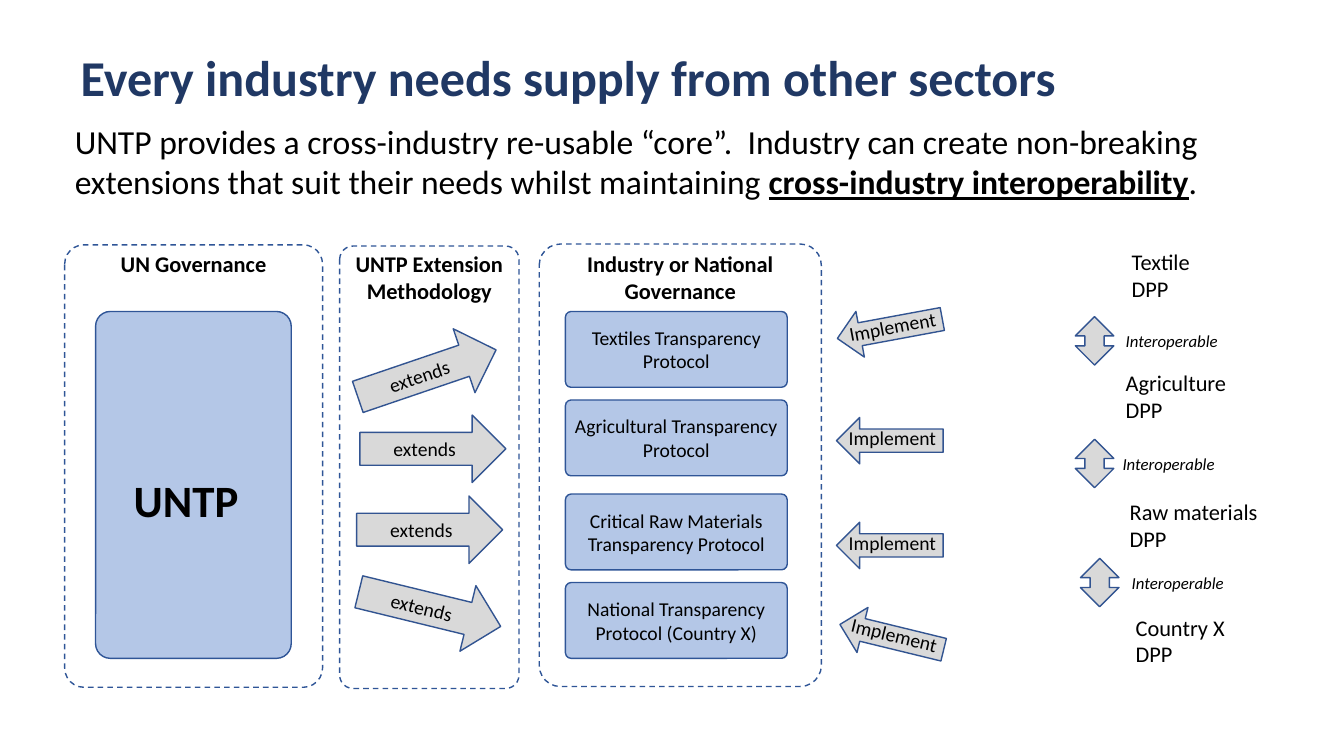
from pptx import Presentation
from pptx.dml.color import RGBColor
from pptx.enum.dml import MSO_LINE
from pptx.enum.shapes import MSO_SHAPE
from pptx.enum.text import MSO_ANCHOR, MSO_AUTO_SIZE, PP_ALIGN
from pptx.oxml.ns import qn
from pptx.util import Cm, Pt

# Content: lengths in cm, angles in degrees
COLORS = {"title": "203864", "text": "000000", "box": "B4C7E7",
          "box_line": "2F5597", "arrow": "D9D9D9", "arrow_line": "325491"}
FONT = "Calibri"
TITLE = "Every industry needs supply from other sectors"
INTRO = [
    ("UNTP provides a cross-industry re-usable “core”.  Industry can create "
     "non-breaking extensions that suit their needs whilst maintaining ", False),
    ("cross-industry interoperability", True),
    (".", False),
]
PANELS = [  # text, left, top, width
    ("UN Governance", 1.63, 6.17, 6.5),
    ("UNTP Extension Methodology", 8.56, 6.2, 4.52),
    ("Industry or National Governance", 13.59, 6.15, 7.11),
]
PROTOCOLS = [  # text, top
    ("Textiles Transparency Protocol", 7.85),
    ("Agricultural Transparency Protocol", 10.08),
    ("Critical Raw Materials Transparency Protocol", 12.45),
    ("National Transparency Protocol (Country X)", 14.68),
]
EXTENDS = [(8.92, 8.56, -18.8), (9.07, 10.46, 0),  # left, top, angle
           (8.99, 12.5, 0), (8.99, 14.5, 13.7)]
IMPLEMENTS = [(21.08, 7.7, -10.5), (21.08, 10.52, 0),
              (21.08, 13.16, 0), (21.13, 15.47, 13.7)]
PASSPORTS = [  # text, left, top, width
    ("Textile DPP", 28.27, 6.12, 2.82),
    ("Agriculture DPP", 28.12, 9.17, 3.15),
    ("Raw materials DPP", 28.22, 12.42, 4.19),
    ("Country X\nDPP", 28.37, 15.34, 3.12),
]
LINKS = [(27.1, 7.98, 28.12), (27.1, 11.07, 28.04),  # left, top, label left
         (27.23, 14.07, 28.27)]

prs = Presentation()
prs.slide_width, prs.slide_height = Cm(33.87), Cm(19.05)
s = prs.slides.add_slide(prs.slide_layouts[1])


def color(name):
    return RGBColor.from_string(COLORS[name])


def place(sp, left, top, width, height):
    sp.left, sp.top, sp.width, sp.height = map(Cm, (left, top, width, height))


def add_run(p, text, size, bold=False, italic=False, name="text"):
    r = p.add_run()
    r.text = text
    r.font.name, r.font.size = FONT, Pt(size)
    r.font.bold, r.font.italic = bold, italic
    r.font.color.rgb = color(name)
    return r


def write(sp, text, size, align=PP_ALIGN.LEFT, anchor=MSO_ANCHOR.TOP,
          bold=False, italic=False):
    tf = sp.text_frame
    tf.word_wrap = True
    tf.vertical_anchor = anchor
    for i, line in enumerate(text.split("\n")):
        p = tf.add_paragraph() if i else tf.paragraphs[0]
        p.alignment = align
        add_run(p, line, size, bold, italic)


def add_label(text, box, size, angle=0, **style):
    sp = s.shapes.add_textbox(*map(Cm, box))
    sp.rotation = angle
    write(sp, text, size, **style)


def add_shape(kind, box, line, fill=None, angle=0, adj=(), inset=None):
    sp = s.shapes.add_shape(kind, *map(Cm, box))
    sp.shadow.inherit = False
    sp.rotation = angle
    for i, value in enumerate(adj):
        sp.adjustments[i] = value
    if fill:
        sp.fill.solid()
        sp.fill.fore_color.rgb = color(fill)
    else:
        sp.fill.background()
    sp.line.color.rgb = color(line)
    sp.line.width = Pt(1)
    if inset is not None:
        tf = sp.text_frame
        tf.margin_left = tf.margin_right = Cm(inset)
        tf.margin_top = tf.margin_bottom = 0
    return sp


def add_round(box, fill=None, inset=None):
    return add_shape(MSO_SHAPE.ROUNDED_RECTANGLE, box, "box_line", fill,
                     adj=[0.075], inset=inset)


# Title
title = s.shapes.title
place(title, 1.78, 1.04, 25.3, 1.78)
title.text_frame.word_wrap = False
title.text_frame.auto_size = MSO_AUTO_SIZE.NONE
p = title.text_frame.paragraphs[0]
p.alignment = PP_ALIGN.LEFT
add_run(p, TITLE, 35.8, bold=True, name="title")

# Introduction, without bullet
body = s.placeholders[1]
place(body, 1.63, 2.92, 30.33, 2.31)
body.text_frame.auto_size = MSO_AUTO_SIZE.NONE
p = body.text_frame.paragraphs[0]
pPr = p._p.get_or_add_pPr()
pPr.set("marL", "0")
pPr.set("indent", "0")
pPr.append(pPr.makeelement(qn("a:buNone"), {}))
p.space_before = Pt(0)
for text, strong in INTRO:
    add_run(p, text, 24, bold=strong).font.underline = strong

# Dashed governance panels
for text, left, top, width in PANELS:
    sp = add_round((left, top, width, 11.15), inset=0.25)
    sp.line.dash_style = MSO_LINE.DASH
    write(sp, text, 16, PP_ALIGN.CENTER, bold=True)

# Core block
add_round((2.41, 7.85, 4.93, 8.74), "box")
add_label("UNTP", (3.12, 11.79, 3.51, 1.63), 32, bold=True)

# Industry protocols
for text, top in PROTOCOLS:
    sp = add_round((14.25, top, 5.59, 1.91), "box", inset=0.1)
    write(sp, text, 14, PP_ALIGN.CENTER, MSO_ANCHOR.MIDDLE)

# Extension arrows
for left, top, angle in EXTENDS:
    sp = add_shape(MSO_SHAPE.RIGHT_ARROW, (left, top, 3.68, 1.7),
                   "arrow_line", "arrow", angle, adj=[0.488, 0.5])
    write(sp, "extends", 14, PP_ALIGN.CENTER, MSO_ANCHOR.MIDDLE)

# Implementation arrows
for left, top, angle in IMPLEMENTS:
    add_shape(MSO_SHAPE.LEFT_ARROW, (left, top, 2.69, 1.17),
              "arrow_line", "arrow", angle)
    add_label("Implement", (left - 0.1, top + 0.1, 3.02, 0.86), 14, angle,
              align=PP_ALIGN.CENTER)

# Product passports and the links between them
for text, left, top, width in PASSPORTS:
    add_label(text, (left, top, width, 1.63), 16)
for left, top, label_left in LINKS:
    add_shape(MSO_SHAPE.UP_DOWN_ARROW, (left, top, 0.97, 1.22),
              "arrow_line", "arrow")
    add_label("Interoperable", (label_left, top + 0.23, 3.15, 0.78), 12,
              italic=True)

prs.save("out.pptx")
